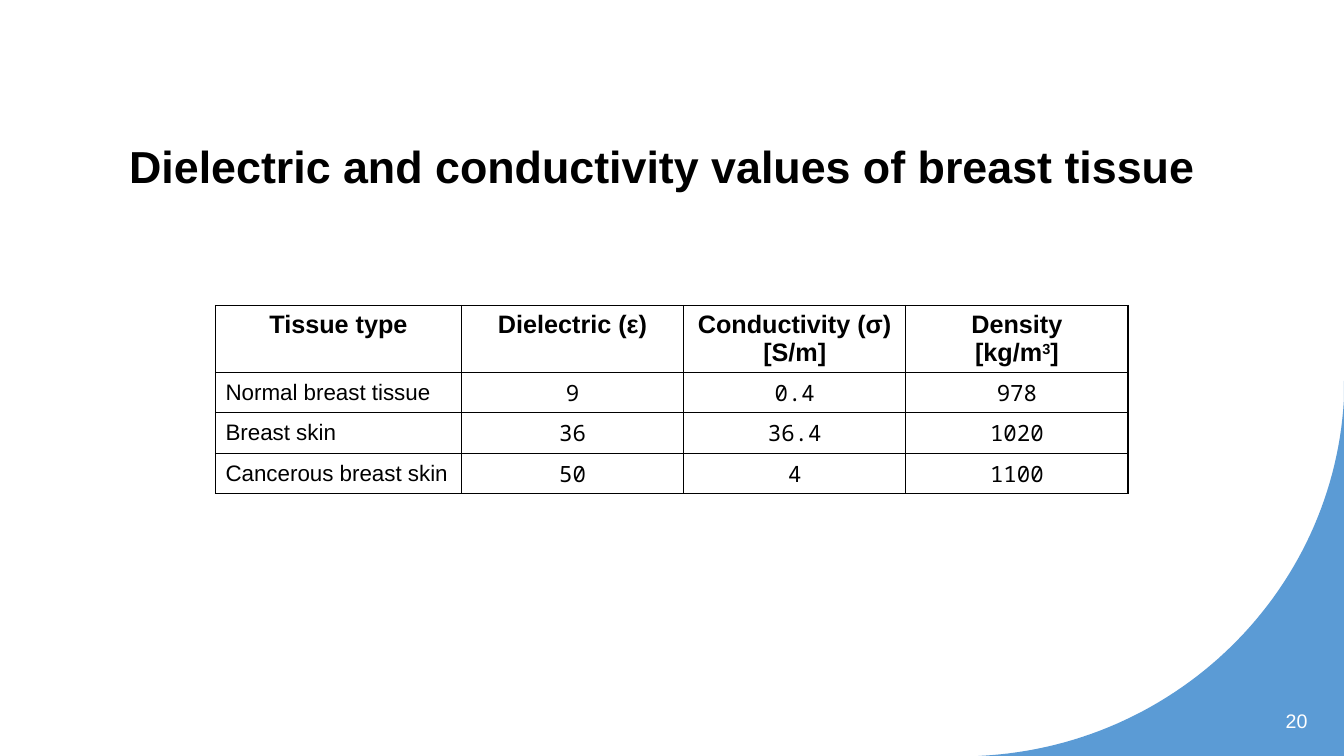
"""Build the slide with dielectric and conductivity values of breast tissue."""
from lxml import etree
from pptx import Presentation
from pptx.dml.color import RGBColor
from pptx.enum.text import MSO_ANCHOR, MSO_AUTO_SIZE, PP_ALIGN
from pptx.oxml.ns import qn
from pptx.util import Cm, Pt

LEFT, CENTER, RIGHT = PP_ALIGN.LEFT, PP_ALIGN.CENTER, PP_ALIGN.RIGHT
TOP, MIDDLE = MSO_ANCHOR.TOP, MSO_ANCHOR.MIDDLE
NO_AUTOFIT = MSO_AUTO_SIZE.NONE
COLORS = {"text": "000000", "curve": "5B9BD5", "number": "FFFFFF", "border": "000000"}
SANS, MONO = "Arial", "Noto Sans Mono"


def add_run(paragraph, text, size, font=SANS, color="text", bold=False):
    run = paragraph.add_run()
    run.text = text
    run.font.name = font
    run.font.size = Pt(size)
    run.font.bold = bold
    run.font.color.rgb = RGBColor.from_string(COLORS[color])
    return run


def add_borders(cell):
    properties = cell._tc.get_or_add_tcPr()
    for side in ("a:lnL", "a:lnR", "a:lnT", "a:lnB"):
        line = etree.SubElement(properties, qn(side), w=str(Pt(1)))
        fill = etree.SubElement(line, qn("a:solidFill"))
        etree.SubElement(fill, qn("a:srgbClr"), val=COLORS["border"])


presentation = Presentation()
presentation.slide_width = Cm(33.87)
presentation.slide_height = Cm(19.05)
slide = presentation.slides.add_slide(presentation.slide_layouts[5])

STEPS = 60
curve_controls = [(24.66, 19.05), (29.64, 18.82), (33.6, 14.91), (33.87, 10.06)]
curve_points = []
for step in range(STEPS + 1):
    t = step / STEPS
    weights = ((1 - t) ** 3, 3 * t * (1 - t) ** 2, 3 * t ** 2 * (1 - t), t ** 3)
    curve_points.append(tuple(
        Cm(sum(weight * control[axis] for weight, control in zip(weights, curve_controls)))
        for axis in (0, 1)
    ))
outline = slide.shapes.build_freeform(Cm(33.87), Cm(9.6), scale=1.0)
outline.add_line_segments([(Cm(33.87), Cm(19.05)), *curve_points], close=True)
corner = outline.convert_to_shape()
corner.shadow.inherit = False
corner.fill.solid()
corner.fill.fore_color.rgb = RGBColor.from_string(COLORS["curve"])
corner.line.fill.background()

heading = slide.shapes.title
heading.left, heading.top, heading.width, heading.height = Cm(3), Cm(2), Cm(27.64), Cm(4.2)
heading.text_frame.auto_size = NO_AUTOFIT
heading.text_frame.vertical_anchor = MIDDLE
heading_line = heading.text_frame.paragraphs[0]
heading_line.alignment = LEFT
heading_line.line_spacing = 1.1
add_run(heading_line, "Dielectric and conductivity values of breast tissue", 32, bold=True)

headers = [
    ["Tissue type"],
    ["Dielectric (ε)"],
    ["Conductivity (σ)", "[S/m]"],
    ["Density", "[kg/m"],
]
tissues = [
    ("Normal breast tissue", "9", "0.4", "978"),
    ("Breast skin", "36", "36.4", "1020"),
    ("Cancerous breast skin", "50", "4", "1100"),
]
column_widths = [6.2, 5.6, 5.6, 5.6]
row_heights = [1.68, 1.02, 1.02, 1.02]
values = slide.shapes.add_table(
    len(row_heights), len(column_widths), Cm(5.43), Cm(7.7),
    Cm(sum(column_widths)), Cm(sum(row_heights)),
).table
values.first_row = values.horz_banding = False
for column, width in zip(values.columns, column_widths):
    column.width = Cm(width)
for row, height in zip(values.rows, row_heights):
    row.height = Cm(height)
for cell in values.iter_cells():
    add_borders(cell)
    cell.fill.background()

for index, lines in enumerate(headers):
    cell = values.cell(0, index)
    cell.vertical_anchor = TOP
    header_line = cell.text_frame.paragraphs[0]
    header_line.alignment = CENTER
    for position, text in enumerate(lines):
        if position:
            header_line.add_line_break()
        add_run(header_line, text, 18, bold=True)
exponent = add_run(header_line, "3", 18, bold=True)
exponent._r.get_or_add_rPr().set("baseline", "30000")
add_run(header_line, "]", 18, bold=True)

for row_index, tissue in enumerate(tissues, start=1):
    for index, text in enumerate(tissue):
        cell = values.cell(row_index, index)
        cell.vertical_anchor = MIDDLE
        entry = cell.text_frame.paragraphs[0]
        entry.alignment = CENTER if index else LEFT
        add_run(entry, text, 16, font=MONO if index else SANS)

page_number = slide.shapes.add_textbox(Cm(32.05), Cm(17.65), Cm(1.15), Cm(1.02)).text_frame
page_number.word_wrap = True
page_number.vertical_anchor = MIDDLE
page_number.margin_left = 0
page_number.paragraphs[0].alignment = RIGHT
add_run(page_number.paragraphs[0], "20", 14, color="number")

presentation.save("out.pptx")
